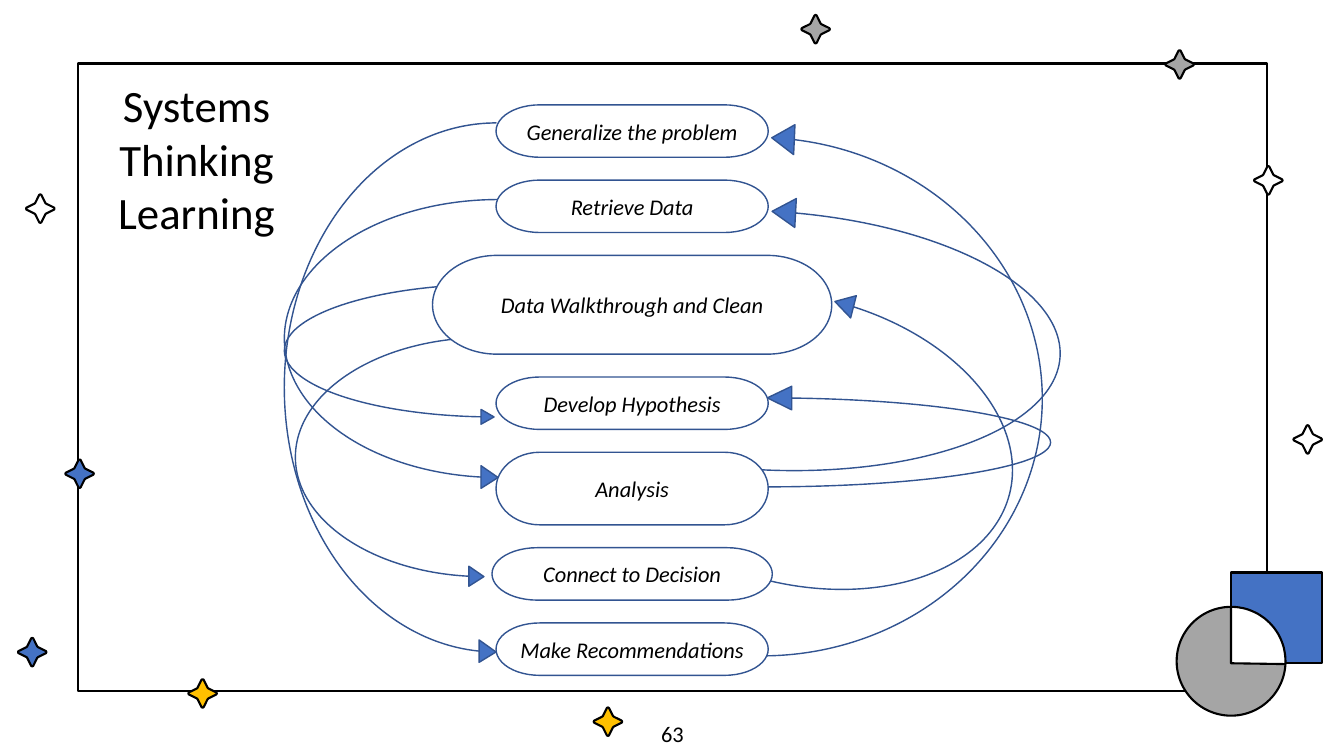
import math
import pptx
import pptx.util
import pptx.dml.color
import pptx.enum.shapes
import pptx.enum.text

PX = 9144  # one px is a hundredth of an inch
KIND = pptx.enum.shapes.MSO_SHAPE
ALIGN = pptx.enum.text.PP_ALIGN
ANCHOR = pptx.enum.text.MSO_ANCHOR
HUES = {"white": "FFFFFF", "black": "000000", "grey": "A5A5A5",
        "blue": "4472C4", "navy": "325491", "gold": "FFC000"}


def hue(name):
    return pptx.dml.color.RGBColor.from_string(HUES[name])


def emu(*sizes):
    return [round(size * PX) for size in sizes]


def paint(shape, fill, line="black", width=1.5):
    shape.shadow.inherit = False
    shape.fill.solid()
    shape.fill.fore_color.rgb = hue(fill)
    shape.line.color.rgb = hue(line)
    shape.line.width = pptx.util.Pt(width)
    return shape


def write(shape, lines, size, anchor, inset=10, italic=False):
    frame = shape.text_frame
    form = {"word_wrap": True, "vertical_anchor": anchor,
            "auto_size": pptx.enum.text.MSO_AUTO_SIZE.NONE,
            "margin_left": inset * PX, "margin_right": inset * PX,
            "margin_top": 5 * PX, "margin_bottom": 5 * PX}
    for key, value in form.items():
        setattr(frame, key, value)
    frame.text = "\n".join(lines)
    face = {"name": "Calibri", "size": pptx.util.Pt(size), "italic": italic}
    for para in frame.paragraphs:
        para.alignment = ALIGN.CENTER
        for key, value in face.items():
            setattr(para.runs[0].font, key, value)
        para.runs[0].font.color.rgb = hue("black")


def outline(slide, points, scale):
    pen = slide.shapes.build_freeform(*points[0], scale=scale)
    pen.add_line_segments(points[1:], close=True)
    return pen.convert_to_shape()


def star(slide, x, y, fill):
    # One blunt tip, turned four times, in tenths of a px
    tip = [(-10, -137), (0, -141), (10, -137), (50, -57), (57, -50)]
    points = []
    for _ in range(4):
        points += [(10 * x + a, 10 * y + b) for a, b in tip]
        tip = [(-b, a) for a, b in tip]
    paint(outline(slide, points, PX / 10), fill)


def border(slide, x, y, wide, high):
    paint(slide.shapes.add_shape(KIND.RECTANGLE, *emu(x, y, wide, high)), "white")
    spots = [(1170, 64, "grey"), (32, 647, "blue"), (79, 470, "blue"),
             (603, 716, "gold"), (1297, 436, "white"), (1258, 179, "white"),
             (201, 688, "gold"), (40, 207, "white"), (809, 29, "grey")]
    for spot in spots:
        star(slide, *spot)


def badge(slide, x, y):
    # Disc and square, with the shared quarter in white
    rad, side, drop = 54, 90, 34
    mid, base = x + rad, y + side
    disc = (x, y + drop, 2 * rad, 2 * rad)
    paint(slide.shapes.add_shape(KIND.OVAL, *emu(*disc)), "grey")
    paint(slide.shapes.add_shape(KIND.RECTANGLE, *emu(mid, y, side, side)), "blue")
    arc = [(10 * (mid + rad * math.sin(math.radians(turn))),
            10 * (y + drop + rad - rad * math.cos(math.radians(turn))))
           for turn in range(0, 94, 3)]
    paint(outline(slide, arc + [(10 * mid, 10 * base)], PX / 10), "white")


def loops(slide, x, y):
    # Offset, size, turn, tail width and head length of each arrow
    arcs = [(472, 24, 280, 529, 182.6, 0.106, 0.08),
            (509, 206, 215, 296, 194.3, 0.106, 0.089),
            (0, 178, 208, 139, 0, 0.106, 0.093),
            (0, 94, 212, 287, 0, 0.106, 0.08),
            (0, 18, 210, 536, 0, 0.106, 0.08),
            (11, 231, 187, 247, 0, 0.106, 0.08),
            (479, 279, 281, 100, 180, 0.234, 0.242),
            (477, 99, 293, 271, 183.1, 0.106, 0.086)]
    for left, top, wide, high, turn, tail, head in arcs:
        arrow = slide.shapes.add_shape(
            KIND.CURVED_RIGHT_ARROW, *emu(x + left, y + top, wide, high))
        arrow.rotation = turn
        for i, value in enumerate((0, tail, head)):
            arrow.adjustments[i] = value
        paint(arrow, "blue", "navy", 1)


def steps(slide, x, y, wide, high):
    # Centred stack with equal gaps
    items = [("Generalize the problem", 270, 52), ("Retrieve Data", 270, 52),
             ("Data Walkthrough and Clean", 396, 98),
             ("Develop Hypothesis", 270, 52), ("Analysis", 270, 72),
             ("Connect to Decision", 278, 52),
             ("Make Recommendations", 270, 52)]
    gap = (high - sum(item[2] for item in items)) / (len(items) - 1)
    for text, span, tall in items:
        left = x + (wide - span) / 2
        step = slide.shapes.add_shape(KIND.FLOWCHART_TERMINATOR,
                                      *emu(left, y, span, tall))
        paint(step, "white", "navy", 1)
        write(step, [text], 16, ANCHOR.MIDDLE, inset=0, italic=True)
        y += tall + gap


def label(slide, x, y, wide, high):
    box = slide.shapes.add_textbox(*emu(x, y, wide, high))
    write(box, ["63"], 16, ANCHOR.MIDDLE)


def head(slide, *box):
    title = slide.shapes.title
    for key, value in zip(("left", "top", "width", "height"), emu(*box)):
        setattr(title, key, value)
    write(title, ["Systems", "Thinking", "Learning"], 32, ANCHOR.TOP)
    # Bring the title in front of the frame
    title.element.getparent().append(title.element)


def main():
    deck = pptx.Presentation()
    deck.slide_width, deck.slide_height = emu(1333, 750)
    slide = deck.slides.add_slide(deck.slide_layouts[5])
    border(slide, 77, 63, 1180, 623)
    badge(slide, 1167, 568)
    loops(slide, 282, 104)
    steps(slide, 429, 104, 396, 566)
    label(slide, 517, 708, 300, 40)
    head(slide, 79, 72, 232, 172)
    deck.save("out.pptx")


if __name__ == "__main__":
    main()
